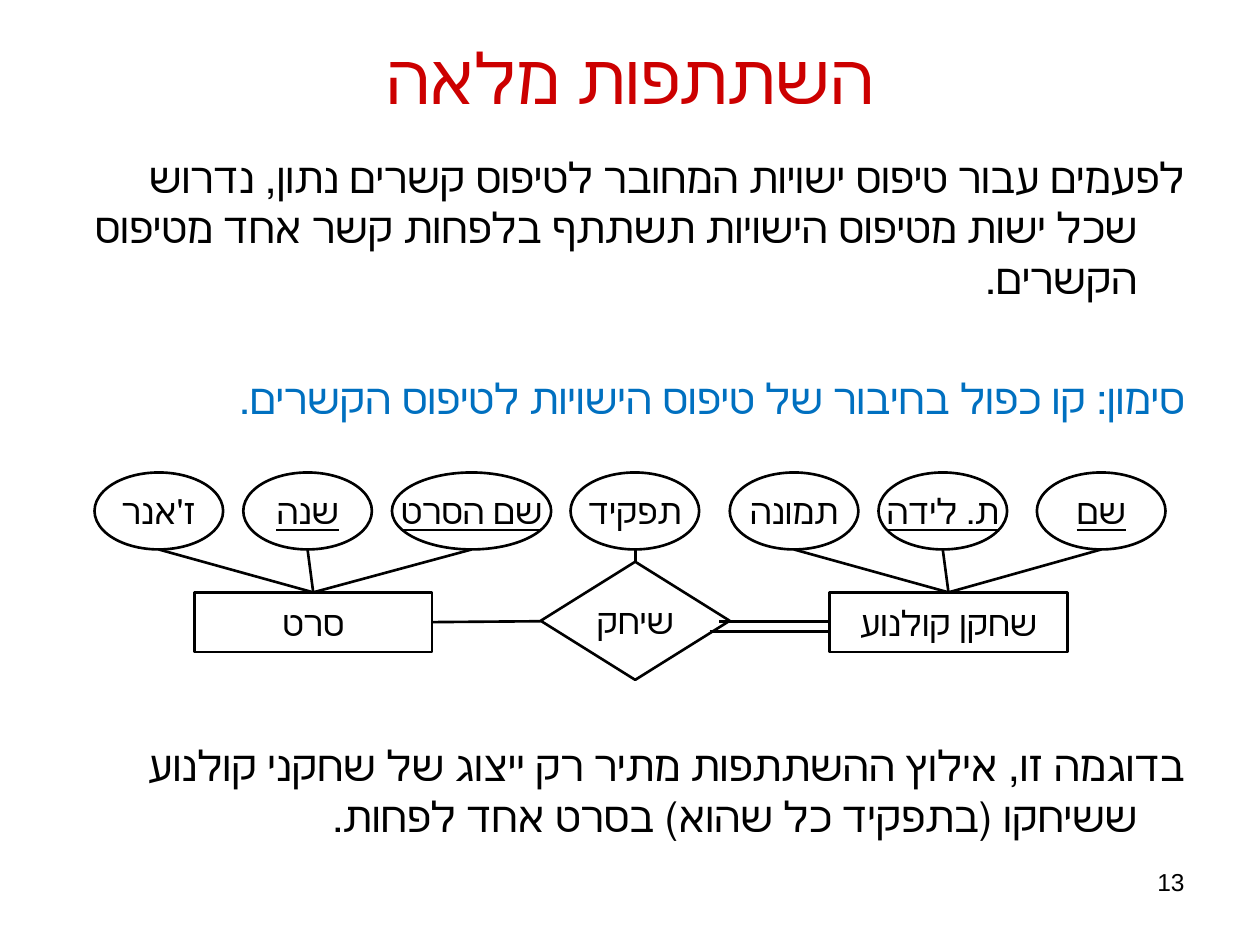
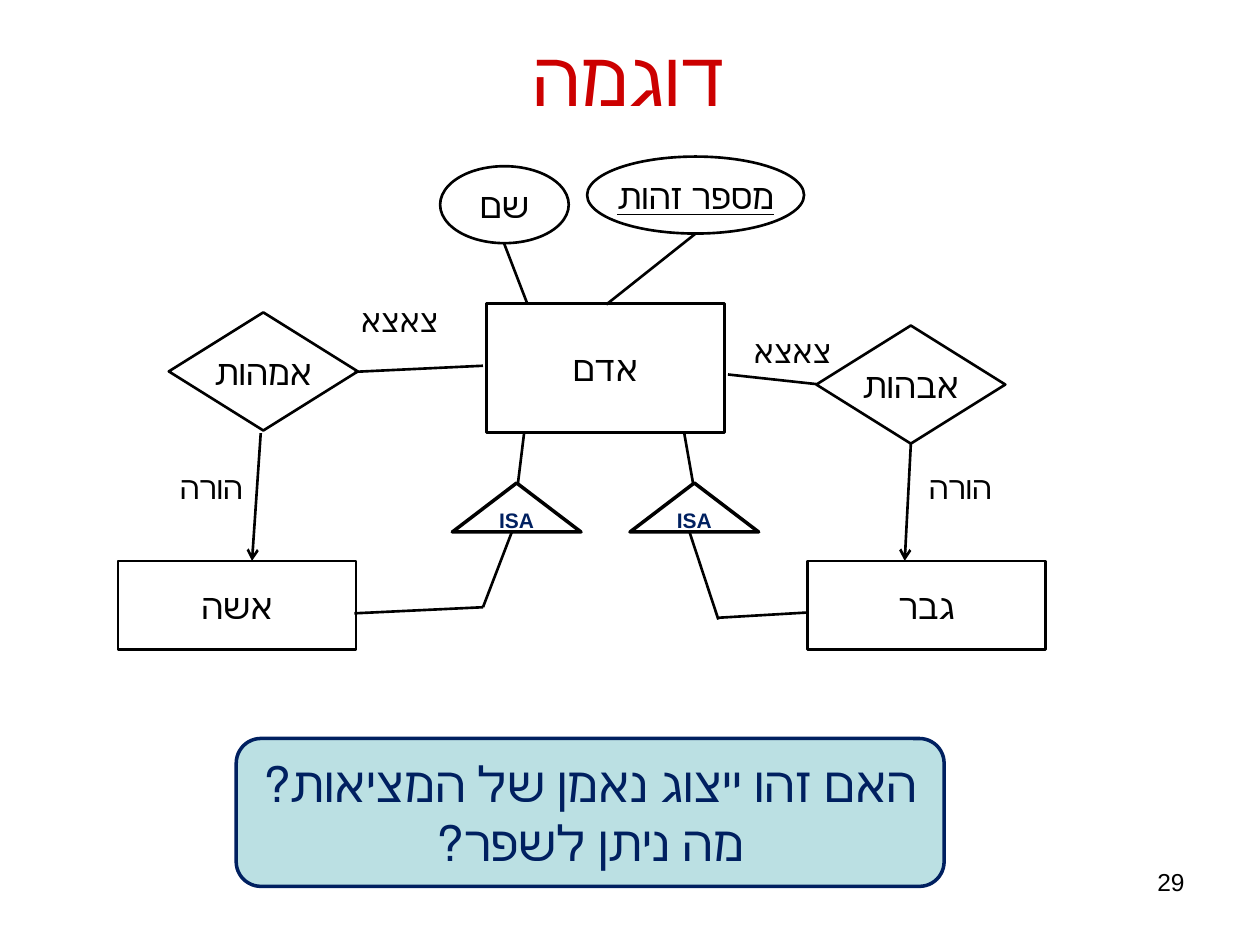
"""Build two Hebrew entity-relationship slides: full participation and an ISA example."""
from dataclasses import dataclass, field
from typing import Any

from lxml.etree import SubElement
from pptx import Presentation
from pptx.dml.color import RGBColor
from pptx.enum.lang import MSO_LANGUAGE_ID
from pptx.enum.shapes import MSO_CONNECTOR, MSO_SHAPE
from pptx.enum.text import MSO_ANCHOR, MSO_AUTO_SIZE, PP_ALIGN
from pptx.oxml.ns import qn
from pptx.util import Pt

FONT = "Arial"
BLACK, RED, BLUE, NAVY, PALE = "000000", "CC0000", "0070C0", "002060", "BBE0E3"
OVAL_SIZE = (73.5, 44)
DIAMOND_SIZE = (108, 67.5)
ENTITY_WIDTH = 136
TRIANGLE_SIZE = (73.5, 28)
LABEL_SIZE = (73.5, 29)
BODY_INDENT = 27
HEBREW = {"language_id": MSO_LANGUAGE_ID.HEBREW}


@dataclass(frozen=True)
class TextStyle:
    size: float = 20
    color: str = BLACK
    align: Any = PP_ALIGN.CENTER
    rtl: bool = True
    font: dict = field(default_factory=dict)


@dataclass(frozen=True)
class Node:
    kind: Any
    text: str
    left: float
    top: float
    width: float
    height: float
    style: TextStyle = TextStyle()
    wrap: bool = False
    fill: str = ""
    line: str = BLACK
    weight: float = 1.5

    @property
    def middle(self) -> float:
        return self.left + self.width / 2

    @property
    def bottom(self) -> float:
        return self.top + self.height


@dataclass(frozen=True)
class Link:
    x1: float
    y1: float
    x2: float
    y2: float
    arrow: bool = False


PLAIN = TextStyle()
KEY = TextStyle(font={"underline": True})
ISA = TextStyle(12, NAVY, rtl=False, font={"bold": True})
ROLE = TextStyle(18)
QUESTION = TextStyle(28, NAVY)
NUMBER = TextStyle(14, align=PP_ALIGN.RIGHT, rtl=False)
BODY = TextStyle(24, align=PP_ALIGN.RIGHT, font=HEBREW)
NOTATION = TextStyle(24, BLUE, PP_ALIGN.RIGHT, font=HEBREW)


def rgb(code: str) -> RGBColor:
    """Turn a hex string into a colour."""
    return RGBColor.from_string(code)


def set_all(target: Any, values: dict) -> None:
    """Set every named attribute of the target."""
    for name, value in values.items():
        setattr(target, name, value)


def write(paragraph: Any, text: str, style: TextStyle) -> None:
    """Write one styled run into a paragraph."""
    paragraph.alignment = style.align
    paragraph._p.get_or_add_pPr().set("rtl", str(int(style.rtl)))
    run = paragraph.add_run()
    run.text = text
    set_all(run.font, {"name": FONT, "size": Pt(style.size), **style.font})
    run.font.color.rgb = rgb(style.color)


def add_paragraphs(frame: Any, text: str, style: TextStyle) -> None:
    """Fill a text frame, one paragraph for each line."""
    for index, line in enumerate(text.split("\n")):
        write(frame.add_paragraph() if index else frame.paragraphs[0], line, style)


def add_box(slide: Any, left: float, top: float, width: float, height: float) -> Any:
    """Add a wrapping text box and return its frame."""
    frame = slide.shapes.add_textbox(Pt(left), Pt(top), Pt(width), Pt(height)).text_frame
    frame.word_wrap = True
    return frame


def add_node(slide: Any, node: Node) -> None:
    """Draw a diagram node with its text."""
    shape = slide.shapes.add_shape(
        node.kind, Pt(node.left), Pt(node.top), Pt(node.width), Pt(node.height))
    shape.shadow.inherit = False
    if node.fill:
        shape.fill.solid()
        shape.fill.fore_color.rgb = rgb(node.fill)
    else:
        shape.fill.background()
    shape.line.color.rgb = rgb(node.line)
    shape.line.width = Pt(node.weight)
    set_all(shape.text_frame, {"word_wrap": node.wrap, "vertical_anchor": MSO_ANCHOR.MIDDLE,
                               "margin_left": 0, "margin_right": 0})
    add_paragraphs(shape.text_frame, node.text, node.style)


def add_link(slide: Any, link: Link) -> None:
    """Draw a straight line, with an arrowhead at its end if asked."""
    connector = slide.shapes.add_connector(
        MSO_CONNECTOR.STRAIGHT, Pt(link.x1), Pt(link.y1), Pt(link.x2), Pt(link.y2))
    connector.line.color.rgb = rgb(BLACK)
    connector.line.width = Pt(1.5)
    if link.arrow:
        SubElement(connector.line._get_or_add_ln(), qn("a:tailEnd"), type="arrow")
    SubElement(connector._element.spPr, qn("a:effectLst"))


def oval(text: str, left: float, top: float, style: TextStyle = PLAIN,
         width: float = OVAL_SIZE[0]) -> Node:
    """Describe an attribute."""
    return Node(MSO_SHAPE.OVAL, text, left, top, width, OVAL_SIZE[1], style)


def diamond(text: str, left: float, top: float) -> Node:
    """Describe a relationship."""
    return Node(MSO_SHAPE.DIAMOND, text, left, top, *DIAMOND_SIZE)


def entity(text: str, left: float, top: float, height: float) -> Node:
    """Describe an entity type."""
    return Node(MSO_SHAPE.RECTANGLE, text, left, top, ENTITY_WIDTH, height)


def add_diagram(slide: Any, nodes: list[Node], links: list[Link]) -> None:
    """Draw all nodes and then all links."""
    for node in nodes:
        add_node(slide, node)
    for link in links:
        add_link(slide, link)


def add_titled_slide(deck: Any, title: str, size: float, number: str) -> Any:
    """Add a slide with the shared title and slide number."""
    slide = deck.slides.add_slide(deck.slide_layouts[5])
    heading = slide.shapes.title
    set_all(heading, {"left": Pt(36), "top": Pt(21.5), "width": Pt(648), "height": Pt(44)})
    set_all(heading.text_frame, {"auto_size": MSO_AUTO_SIZE.NONE, "word_wrap": True,
                                 "vertical_anchor": MSO_ANCHOR.MIDDLE})
    add_paragraphs(heading.text_frame, title, TextStyle(size, RED))
    add_paragraphs(add_box(slide, 516, 492, 168, 37.5), number, NUMBER)
    return slide


def build_participation(deck: Any) -> None:
    """Build the slide on full participation."""
    slide = add_titled_slide(deck, "השתתפות מלאה", 40, "13")
    explanation = [
        ("לפעמים עבור טיפוס ישויות המחובר לטיפוס קשרים נתון, נדרוש שכל ישות מטיפוס "
         "הישויות תשתתף בלפחות קשר אחד מטיפוס הקשרים.", BODY, 0),
        ("סימון: קו כפול בחיבור של טיפוס הישויות לטיפוס הקשרים.", NOTATION, 40),
        ("בדוגמה זו, אילוץ ההשתתפות מתיר רק ייצוג של שחקני קולנוע ששיחקו "
         "(בתפקיד כל שהוא) בסרט אחד לפחות.", BODY, 181),
    ]
    frame = add_box(slide, 36, 83, 648, 430.5)
    for index, (text, style, gap) in enumerate(explanation):
        paragraph = frame.add_paragraph() if index else frame.paragraphs[0]
        write(paragraph, text, style)
        paragraph.space_before = Pt(gap)
        for name, sign in (("marL", 1), ("indent", -1)):
            paragraph._p.pPr.set(name, str(sign * Pt(BODY_INDENT)))

    attribute_top, entity_top = 270, 338.5
    clusters = [
        (entity("שחקן קולנוע", 474, entity_top, 34),
         [oval("תמונה", 417, attribute_top),
          oval("ת. לידה", 502, attribute_top, KEY),
          oval("שם", 592.5, attribute_top, KEY)]),
        (entity("סרט", 111, entity_top, 34),
         [oval("ז'אנר", 54, attribute_top),
          oval("שנה", 139, attribute_top, KEY),
          oval("שם הסרט", 224, attribute_top, KEY, 91)]),
    ]
    for owner, attributes in clusters:
        add_diagram(slide, [owner, *attributes], [
            Link(owner.middle, owner.top, attribute.middle, attribute.bottom)
            for attribute in attributes])
    played, role = diamond("שיחק", 309, 321), oval("תפקיד", 326, attribute_top)
    add_diagram(slide, [played, role], [
        Link(played.middle, role.bottom, played.middle, played.top),
        Link(247, 355.5, 309, 355),
        Link(405.5, 361, 474, 361),
        Link(411, 355, 474, 355),
    ])


def build_example(deck: Any) -> None:
    """Build the family example with ISA triangles."""
    slide = add_titled_slide(deck, "דוגמה", 44, "29")
    nodes = [
        entity("אדם", 278, 173.5, 73.5),
        entity("גבר", 461.5, 320.5, 50.5),
        entity("אשה", 67.5, 320.5, 50.5),
        oval("שם", 251.5, 95),
        oval("מספר זהות", 335.5, 89.5, KEY, 124),
        diamond("אבהות", 466.5, 186),
        diamond("אמהות", 96.5, 178.5),
        *(Node(MSO_SHAPE.ISOSCELES_TRIANGLE, "ISA", left, 276, *TRIANGLE_SIZE, ISA,
               wrap=True, weight=2) for left in (258.5, 360)),
        Node(MSO_SHAPE.ROUNDED_RECTANGLE, "האם זהו ייצוג נאמן של המציאות?\nמה ניתן לשפר?",
             135, 422, 404.5, 84.5, QUESTION, wrap=True, fill=PALE, line=NAVY, weight=2),
    ]
    links = [
        Link(416, 214, 466.5, 219.5),
        Link(520.5, 253.5, 517, 320.5, arrow=True),
        Link(202.5, 212.5, 276, 209),
        Link(149, 247.5, 144, 320.5, arrow=True),
        Link(301.5, 174, 288, 139),
        Link(346.5, 174, 397.5, 133.5),
        Link(299.5, 247.5, 296, 276),
        Link(391, 247.5, 396, 276),
        Link(292.5, 304, 276, 347),
        Link(276, 347, 202.5, 350.5),
        Link(394, 304, 410.5, 354),
        Link(410.5, 353, 461.5, 350),
    ]
    add_diagram(slide, nodes, links)
    roles = [("צאצא", 191.5, 168.5), ("צאצא", 416, 186),
             ("הורה", 84, 264), ("הורה", 512, 264)]
    for text, left, top in roles:
        add_paragraphs(add_box(slide, left, top, *LABEL_SIZE), text, ROLE)


def main() -> None:
    """Build and save the deck."""
    deck = Presentation()
    set_all(deck, {"slide_width": Pt(720), "slide_height": Pt(540)})
    build_participation(deck)
    build_example(deck)
    deck.save("out.pptx")


if __name__ == "__main__":
    main()
